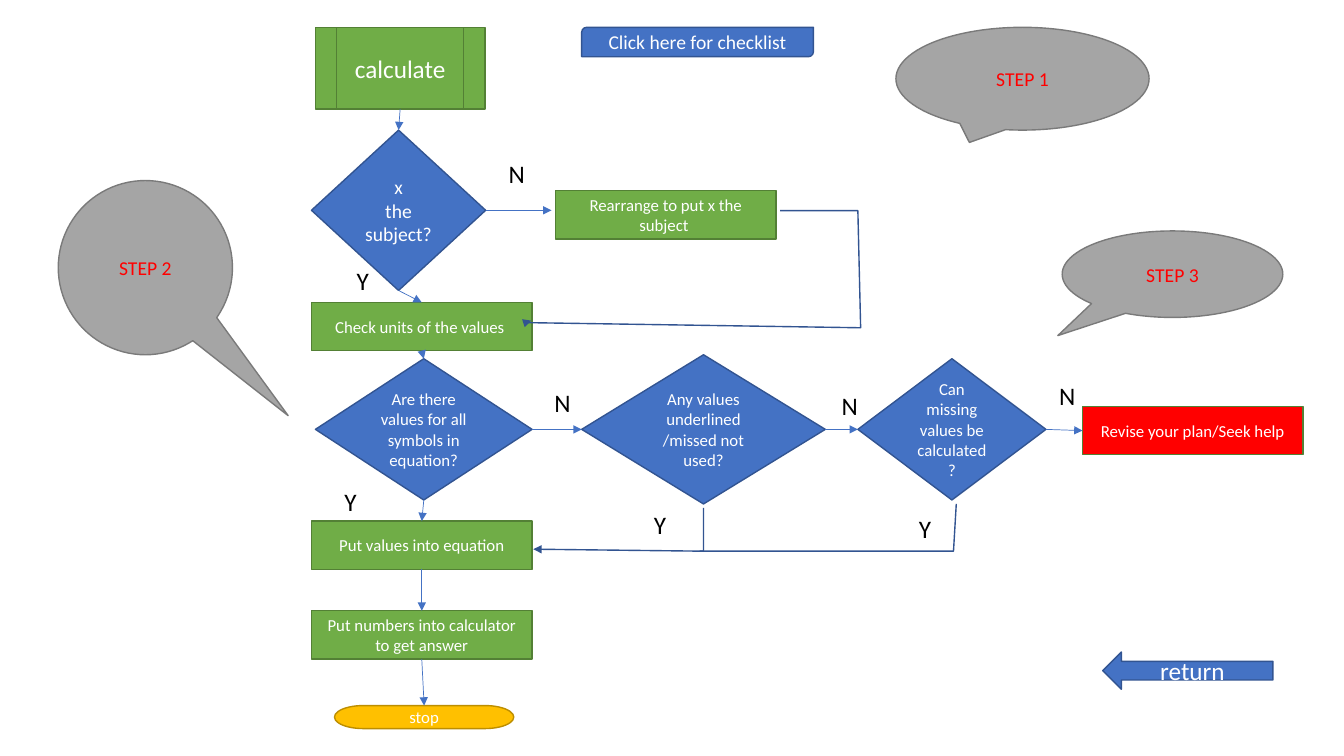
from lxml import etree
from pptx import Presentation
from pptx.dml.color import RGBColor
from pptx.enum import shapes, text
from pptx.oxml import ns
from pptx.util import Cm, Pt

GREEN, DARK_GREEN = RGBColor(0x70, 0xAD, 0x47), RGBColor(0x53, 0x80, 0x35)
BLUE, DARK_BLUE = RGBColor(0x44, 0x72, 0xC4), RGBColor(0x32, 0x54, 0x91)
GREY, DARK_GREY = RGBColor(0xA5, 0xA5, 0xA5), RGBColor(0x7A, 0x7A, 0x7A)
GOLD, DARK_GOLD = RGBColor(0xFF, 0xC0, 0x00), RGBColor(0xBD, 0x8E, 0x00)
RED = RGBColor(0xFF, 0x00, 0x00)
WHITE, BLACK = RGBColor(0xFF, 0xFF, 0xFF), RGBColor(0x00, 0x00, 0x00)

KIND = shapes.MSO_SHAPE
STYLES = {
    "process": (KIND.RECTANGLE, GREEN, DARK_GREEN, WHITE),
    "alert": (KIND.RECTANGLE, RED, DARK_GREEN, WHITE),
    "start": (KIND.FLOWCHART_PREDEFINED_PROCESS, GREEN, DARK_GREEN, WHITE),
    "decision": (KIND.FLOWCHART_DECISION, BLUE, DARK_BLUE, WHITE),
    "end": (KIND.FLOWCHART_TERMINATOR, GOLD, DARK_GOLD, WHITE),
    "back": (KIND.LEFT_ARROW, BLUE, DARK_BLUE, WHITE),
    "button": (KIND.ROUND_2_DIAG_RECTANGLE, BLUE, DARK_BLUE, WHITE),
    "step": (KIND.OVAL_CALLOUT, GREY, DARK_GREY, RED),
}
BOX = (5.56, 1.22)
COLUMN = 7.85
ROW_MIDDLE = 10.82

STEPS = [
    ("calculate", "start", "calculate", 18, (7.95, 0.69, 4.27, 2.06)),
    ("return", "back", "return", 18, (27.79, 16.43, 4.29, 0.94)),
    ("subject", "decision", " x \nthe subject?", 14, (COLUMN, 3.28, 4.39, 4.04)),
    ("units", "process", "Check units of the values ", 12, (COLUMN, 7.62, *BOX)),
    ("numbers", "process", "Put numbers into calculator to get answer", 12,
     (COLUMN, 15.39, *BOX)),
    ("rearrange", "process", "Rearrange to put x the subject ", 12, (14, 4.8, *BOX)),
    ("revise", "alert", "Revise your plan/Seek help", 12, (27.28, 10.24, *BOX)),
    ("equation", "process", "Put values into equation", 12, (COLUMN, 13.13, *BOX)),
    ("stop", "end", "stop", 12, (8.43, 17.78, 4.52, 0.58)),
    ("checklist", "button", "Click here for checklist", 14, (14.66, 0.69, 5.84, 0.74)),
]
VALUE_QUESTIONS = [
    ("symbols", "Are there values for all symbols in equation?", 7.95, 5.46, 3.56),
    ("missing", "Can missing values be calculated?", 21.62, 4.74, 3.56),
    ("underlined", "Any values underlined /missed not used?", 14.66, 6.14, 3.76),
]
CALLOUTS = [
    ("STEP 1", (22.58, 0.69, 6.38, 2.59), (-0.21, 0.62)),
    ("STEP 2", (1.47, 4.55, 4.39, 4.39), (0.82, 0.85)),
    ("STEP 3", (26.77, 5.82, 5.56, 2.18), (-0.52, 0.71)),
]
TOP, LEFT, BOTTOM, RIGHT = range(4)
DOWNWARD = [("calculate", "subject"), ("subject", "units"), ("units", "symbols"),
            ("symbols", "equation"), ("equation", "numbers"), ("numbers", "stop")]
ACROSS = [("symbols", "underlined"), ("underlined", "missing"), ("missing", "revise")]
TO_REARRANGE = (13.9, 5.3)
RETURN_PATHS = [
    ([(19.66, 5.31), (21.62, 5.31), (21.69, 8.26), (13.21, 8.13), (13.39, 8.08)], True),
    ([(17.73, 12.8), (17.73, 13.89), (13.44, 13.84)], True),
    ([(24.1, 12.7), (24.03, 13.89), (17.63, 13.89)], False),
]
ANSWERS = [("Y", 8.74, 6.55), ("N", 20.96, 9.7), ("Y", 8.43, 12.12), ("Y", 16.23, 12.7),
           ("Y", 22.91, 12.8), ("N", 12.57, 3.86), ("N", 13.72, 9.63), ("N", 26.44, 9.47)]
ANSWER_SIZE = (0.74, 1.02)


def write(owner, words, size, colour, **frame_format):
    frame = owner.text_frame
    for name, value in {"word_wrap": True, **frame_format}.items():
        setattr(frame, name, value)
    frame.text = words
    for paragraph in frame.paragraphs:
        paragraph.alignment = text.PP_ALIGN.CENTER
        font = paragraph.runs[0].font
        for name, value in {"name": "Calibri", "size": Pt(size)}.items():
            setattr(font, name, value)
        font.color.rgb = colour


def outline(owner, colour, width, arrow=False):
    owner.line.color.rgb = colour
    owner.line.width = Pt(width)
    if arrow:
        etree.SubElement(owner.line._get_or_add_ln(), ns.qn("a:tailEnd"), type="triangle")


def add_step(slide, style, words, size, place):
    kind, fill, edge, ink = STYLES[style]
    step = slide.shapes.add_shape(kind, *map(Cm, place))
    step.shadow.inherit = False
    step.fill.solid()
    step.fill.fore_color.rgb = fill
    outline(step, edge, 1)
    write(step, words, size, ink, vertical_anchor=text.MSO_ANCHOR.MIDDLE)
    return step


def add_flow(slide, source, exit_site, target=None, entry_site=None):
    end = map(Cm, TO_REARRANGE)
    flow = slide.shapes.add_connector(shapes.MSO_CONNECTOR.STRAIGHT, 0, 0, *end)
    flow.begin_connect(source, exit_site)
    if target is not None:
        flow.end_connect(target, entry_site)
    outline(flow, BLUE, 0.5, arrow=True)
    etree.SubElement(flow._element.spPr, ns.qn("a:effectLst"))


def add_return_path(slide, points, arrow):
    start, *corners = [tuple(map(Cm, point)) for point in points]
    builder = slide.shapes.build_freeform(*start)
    builder.add_line_segments(corners, close=False)
    route = builder.convert_to_shape()
    route.shadow.inherit = False
    route.fill.background()
    outline(route, DARK_BLUE, 1, arrow)


def main():
    deck = Presentation()
    deck.slide_width, deck.slide_height = Cm(33.87), Cm(19.05)
    slide = deck.slides.add_slide(deck.slide_layouts[6])

    steps = {}
    for name, *details in STEPS:
        steps[name] = add_step(slide, *details)
    for name, question, left, width, height in VALUE_QUESTIONS:
        place = (left, ROW_MIDDLE - height / 2, width, height)
        steps[name] = add_step(slide, "decision", question, 12, place)

    add_flow(slide, steps["subject"], RIGHT)
    for pairs, exit_site, entry_site in [(DOWNWARD, BOTTOM, TOP), (ACROSS, RIGHT, LEFT)]:
        for source, target in pairs:
            add_flow(slide, steps[source], exit_site, steps[target], entry_site)
    for points, arrow in RETURN_PATHS:
        add_return_path(slide, points, arrow)

    for answer, left, top in ANSWERS:
        label = slide.shapes.add_textbox(*map(Cm, (left, top, *ANSWER_SIZE)))
        write(label, answer, 18, BLACK)
    for words, place, tip in CALLOUTS:
        callout = add_step(slide, "step", words, 14, place)
        for index, offset in enumerate(tip):
            callout.adjustments[index] = offset

    deck.save("out.pptx")


if __name__ == "__main__":
    main()
